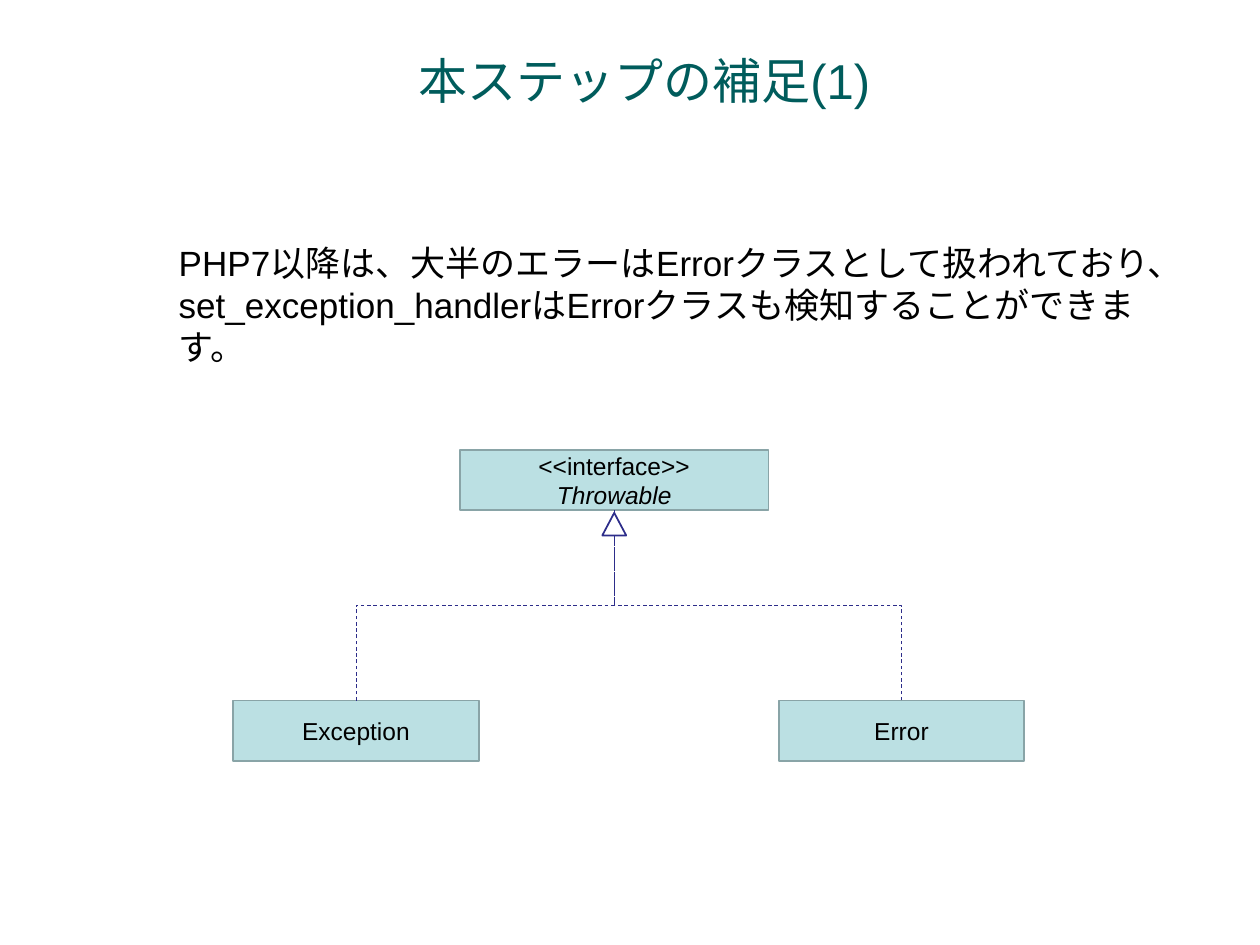
from lxml import etree
from pptx import Presentation
from pptx.dml.color import RGBColor
from pptx.enum.dml import MSO_LINE
from pptx.enum.shapes import MSO_CONNECTOR, MSO_SHAPE
from pptx.enum.text import MSO_ANCHOR, MSO_AUTO_SIZE, PP_ALIGN
from pptx.oxml.ns import qn
from pptx.util import Inches, Pt

ELBOW = MSO_CONNECTOR.ELBOW
RECTANGLE = MSO_SHAPE.RECTANGLE
TRIANGLE = MSO_SHAPE.ISOSCELES_TRIANGLE
DASH = MSO_LINE.DASH
MIDDLE, TOP = MSO_ANCHOR.MIDDLE, MSO_ANCHOR.TOP
CENTER, LEFT = PP_ALIGN.CENTER, PP_ALIGN.LEFT
NO_FIT = MSO_AUTO_SIZE.NONE

TITLE_ONLY = 5
QUARTER_TURN_BACK = str(270 * 60000)
TEAL, BLACK, WHITE = "005C5C", "000000", "FFFFFF"
CLASS_FILL, CLASS_LINE, LINK = "BBE0E3", "89A4A7", "2D2D8A"


def color(value):
    """Turn a hex string into a colour."""
    return RGBColor.from_string(value)


def write(frame, text, size=14, ink=BLACK, align=CENTER, anchor=MIDDLE, italic_lines=()):
    """Write each line of text as a formatted paragraph."""
    frame.word_wrap = True
    frame.auto_size = NO_FIT
    frame.vertical_anchor = anchor
    for index, line in enumerate(text.split("\n")):
        para = frame.paragraphs[0] if index == 0 else frame.add_paragraph()
        para.alignment = align
        span = para.add_run()
        span.text = line
        span.font.name = "Arial"
        span.font.size = Pt(size)
        span.font.italic = index in italic_lines
        span.font.color.rgb = color(ink)


def add_outlined(page, kind, box, fill, line):
    """Add a filled preset shape with a thin outline."""
    shape = page.shapes.add_shape(kind, *map(Inches, box))
    shape.shadow.inherit = False
    shape.fill.solid()
    shape.fill.fore_color.rgb = color(fill)
    shape.line.color.rgb = color(line)
    shape.line.width = Pt(1)
    return shape


def add_class(page, box, text, **text_format):
    """Add a class rectangle with its name."""
    shape = add_outlined(page, RECTANGLE, box, CLASS_FILL, CLASS_LINE)
    write(shape.text_frame, text, **text_format)
    return shape


def add_link(page, child, parent):
    """Draw a dashed elbow from the top of a child up to the bottom of its parent."""
    start_x, start_y = child.left + child.width // 2, child.top
    end_x, end_y = parent.left + parent.width // 2, parent.top + parent.height
    middle_x, middle_y = (start_x + end_x) // 2, (start_y + end_y) // 2
    rise, run = (start_y - end_y) // 2, (start_x - end_x) // 2
    link = page.shapes.add_connector(
        ELBOW, middle_x - rise, middle_y + run, middle_x + rise, middle_y - run)
    properties = link._element.spPr
    properties.find(qn("a:xfrm")).set("rot", QUARTER_TURN_BACK)
    link.line.color.rgb = color(LINK)
    link.line.width = Pt(0.5)
    link.line.dash_style = DASH
    etree.SubElement(properties, qn("a:effectLst"))


def add_title(page, box, text):
    """Place and fill the title placeholder."""
    title = page.shapes.title
    title.left, title.top, title.width, title.height = map(Inches, box)
    write(title.text_frame, text, size=28, ink=TEAL)


def add_explanation(page, box, text):
    """Add the explanatory paragraph."""
    frame = page.shapes.add_textbox(*map(Inches, box)).text_frame
    write(frame, text, size=20, align=LEFT, anchor=TOP)


def add_hierarchy(page, box):
    """Draw the interface at the top of the box and its two classes at the bottom."""
    left, top, width, height = box
    class_width, class_height = 1.95, 0.48
    parent_left, parent_width = left + 1.8, 2.45
    parent = add_class(page, (parent_left, top, parent_width, class_height),
                       "<<interface>>\nThrowable", italic_lines=(1,))
    child_top = top + height - class_height
    for name, child_left in (("Exception", left), ("Error", left + width - class_width)):
        child = add_class(page, (child_left, child_top, class_width, class_height), name)
        add_link(page, child, parent)
    head_width, head_height = 0.19, 0.18
    head_left = parent_left + (parent_width - head_width) / 2
    add_outlined(page, TRIANGLE, (head_left, top + class_height + 0.02, head_width, head_height),
                 WHITE, LINK)


def main():
    """Build and save the deck."""
    deck = Presentation()
    deck.slide_width, deck.slide_height = Inches(10), Inches(7.5)
    page = deck.slides.add_slide(deck.slide_layouts[TITLE_ONLY])
    add_title(page, (0.59, 0.22, 9.05, 0.83), "本ステップの補足(1)")
    add_explanation(
        page, (1.32, 1.87, 7.95, 1.1),
        "PHP7以降は、大半のエラーはErrorクラスとして扱われており、"
        "set_exception_handlerはErrorクラスも検知することができます。")
    add_hierarchy(page, (1.85, 3.57, 6.28, 2.47))
    deck.save("out.pptx")


if __name__ == "__main__":
    main()
